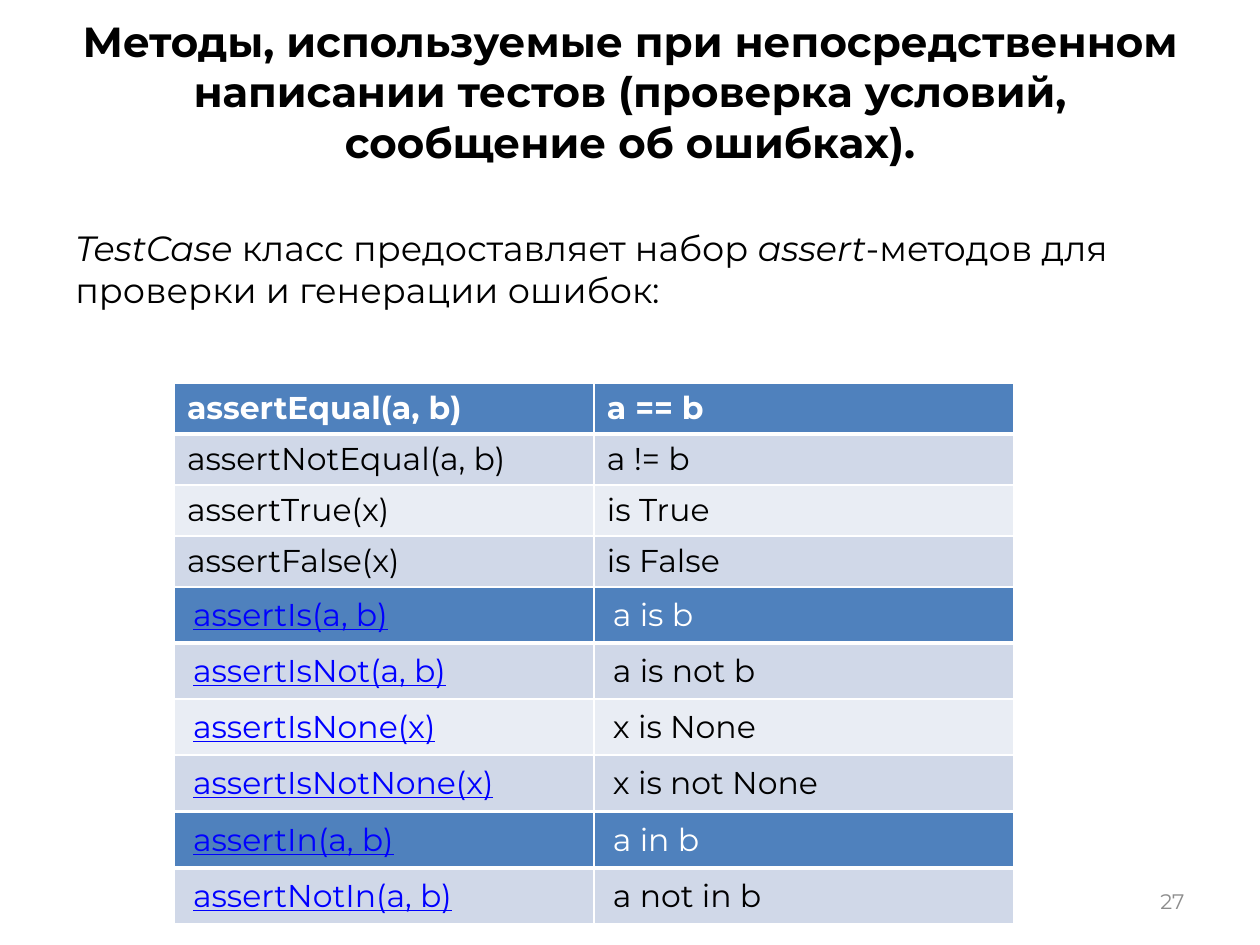
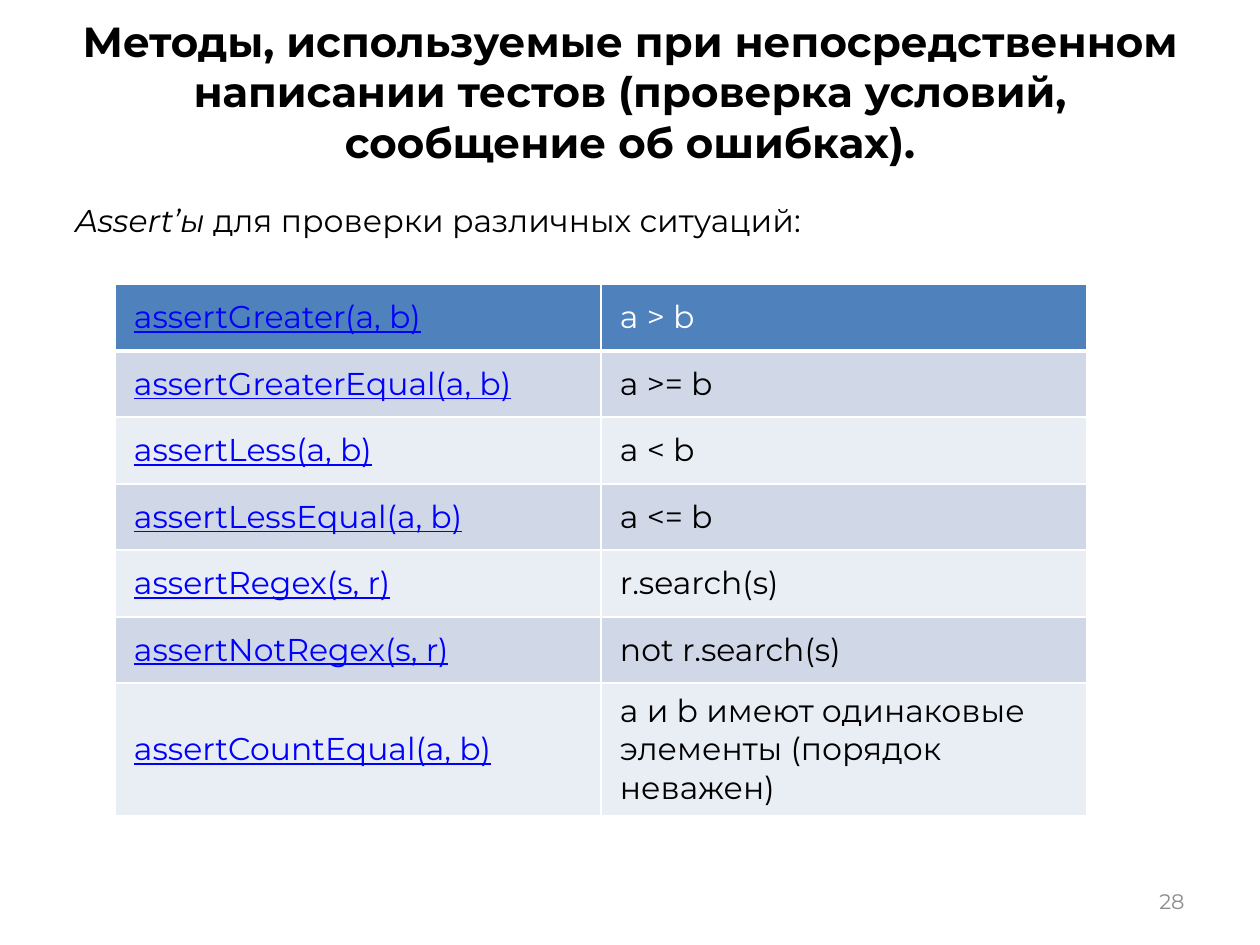
from dataclasses import dataclass

from lxml.etree import SubElement
from pptx import Presentation
from pptx.dml.color import RGBColor
from pptx.enum.text import MSO_ANCHOR, PP_ALIGN
from pptx.oxml.ns import qn
from pptx.util import Emu, Pt

PX_PER_INCH = 126
FONT = "Montserrat"
COLORS = {
    "text": "000000",
    "white": "FFFFFF",
    "number": "8C8C8C",
    "method": "0000FF",
    "header": "4F81BD",
    "odd": "D0D8E8",
    "even": "E9EDF4",
}
TITLE = ("Методы, используемые при непосредственном написании тестов "
         "(проверка условий, сообщение об ошибках).")


@dataclass(frozen=True)
class Span:
    text: str
    size: int
    color: str = "text"
    bold: bool = False
    italic: bool = False
    underline: bool = False


@dataclass(frozen=True)
class Box:
    left: int
    top: int
    width: int
    height: int
    align: PP_ALIGN = PP_ALIGN.LEFT
    anchor: MSO_ANCHOR = MSO_ANCHOR.TOP
    bottom_inset: int = 6


@dataclass(frozen=True)
class MethodTable:
    left: int
    top: int
    column_width: int
    row_heights: list[int]
    rows: list[tuple[str, str]]
    linked: bool = True  # underlined method names and wider cell margins


@dataclass(frozen=True)
class Page:
    number: int
    lead_box: Box
    lead: list[Span]
    tables: list[MethodTable]


TITLE_BOX = Box(63, 38, 1134, 157, PP_ALIGN.CENTER, MSO_ANCHOR.MIDDLE, 57)
NUMBER_BOX = Box(903, 876, 294, 50, PP_ALIGN.RIGHT, MSO_ANCHOR.MIDDLE)

PAGES = [
    Page(
        27,
        Box(63, 220, 1134, 655),
        [
            Span("TestCase", 20, italic=True),
            Span(" класс предоставляет набор ", 20),
            Span("assert", 20, italic=True),
            Span("-методов для проверки и генерации ошибок:", 20),
        ],
        [
            MethodTable(174, 383, 420, [51] * 4, [
                ("assertEqual(a, b)", "a == b"),
                ("assertNotEqual(a, b)", "a != b"),
                ("assertTrue(x)", "is True"),
                ("assertFalse(x)", "is False"),
            ], linked=False),
            MethodTable(174, 587, 420, [56] * 4, [
                ("assertIs(a, b)", "a is b"),
                ("assertIsNot(a, b)", "a is not b"),
                ("assertIsNone(x)", "x is None"),
                ("assertIsNotNone(x)", "x is not None"),
            ]),
            MethodTable(174, 812, 420, [56] * 2, [
                ("assertIn(a, b)", "a in b"),
                ("assertNotIn(a, b)", "a not in b"),
            ]),
        ],
    ),
    Page(
        28,
        Box(63, 195, 1134, 680),
        [
            Span("Assert’ы", 18, italic=True),
            Span(" для проверки различных ситуаций:", 18),
        ],
        [
            MethodTable(115, 284, 486, [67, 66] * 3 + [133], [
                ("assertGreater(a, b)", "a > b"),
                ("assertGreaterEqual(a, b)", "a >= b"),
                ("assertLess(a, b)", "a < b"),
                ("assertLessEqual(a, b)", "a <= b"),
                ("assertRegex(s, r)", "r.search(s)"),
                ("assertNotRegex(s, r)", "not r.search(s)"),
                ("assertCountEqual(a, b)",
                 "a и b имеют одинаковые элементы (порядок неважен)"),
            ]),
        ],
    ),
]


def px(length: int) -> Emu:
    return Emu(round(length * 914400 / PX_PER_INCH))


def rgb(name: str) -> RGBColor:
    return RGBColor.from_string(COLORS[name])


def add_spans(para, spans: list[Span]) -> None:
    for span in spans:
        run = para.add_run()
        run.text = span.text
        font = run.font
        font.name, font.size = FONT, Pt(span.size)
        font.bold, font.italic, font.underline = span.bold, span.italic, span.underline
        font.color.rgb = rgb(span.color)


def add_text(slide, box: Box, spans: list[Span]) -> None:
    shape = slide.shapes.add_textbox(px(box.left), px(box.top), px(box.width), px(box.height))
    frame = shape.text_frame
    frame.word_wrap = True
    frame.vertical_anchor = box.anchor
    frame.margin_bottom = px(box.bottom_inset)
    para = frame.paragraphs[0]
    para.alignment = box.align
    add_spans(para, spans)


def set_borders(cell, top: int, bottom: int) -> None:
    """Draw white cell borders, given in points; the sides are always 1."""
    properties = cell._tc.get_or_add_tcPr()
    widths = {"a:lnL": 1, "a:lnR": 1, "a:lnT": top, "a:lnB": bottom}
    for position, (tag, width) in enumerate(widths.items()):
        line = SubElement(properties, qn(tag), w=str(Pt(width)))
        fill = SubElement(line, qn("a:solidFill"))
        SubElement(fill, qn("a:srgbClr"), val=COLORS["white"])
        properties.insert(position, line)  # borders come before the fill


def add_method_table(slide, spec: MethodTable) -> None:
    table = slide.shapes.add_table(
        len(spec.rows), 2, px(spec.left), px(spec.top),
        px(2 * spec.column_width), px(sum(spec.row_heights))).table
    table.first_row = table.horz_banding = False
    for column in table.columns:
        column.width = px(spec.column_width)

    side, edge = (19, 9) if spec.linked else (13, 6)
    for row, texts in enumerate(spec.rows):
        table.rows[row].height = px(spec.row_heights[row])
        is_header = row == 0
        band = "header" if is_header else ("even", "odd")[row % 2]
        for column, text in enumerate(texts):
            cell = table.cell(row, column)
            cell.fill.solid()
            cell.fill.fore_color.rgb = rgb(band)
            cell.margin_left = cell.margin_right = px(side)
            cell.margin_top = cell.margin_bottom = px(edge)
            cell.vertical_anchor = MSO_ANCHOR.MIDDLE if spec.linked else MSO_ANCHOR.TOP
            set_borders(cell, top=3 if row == 1 else 1, bottom=3 if is_header else 1)

            is_method = spec.linked and column == 0
            color = "method" if is_method else "white" if is_header else "text"
            add_spans(cell.text_frame.paragraphs[0], [
                Span(text, 18, color, bold=is_header and not spec.linked, underline=is_method)])


def add_page(deck, page: Page) -> None:
    slide = deck.slides.add_slide(deck.slide_layouts[6])
    # Title, lead sentence and slide number
    add_text(slide, TITLE_BOX, [Span(TITLE, 24, bold=True)])
    add_text(slide, page.lead_box, page.lead)
    add_text(slide, NUMBER_BOX, [Span(str(page.number), 12, "number")])
    # Assert methods
    for spec in page.tables:
        add_method_table(slide, spec)


def main() -> None:
    deck = Presentation()
    deck.slide_width, deck.slide_height = px(1260), px(945)
    for page in PAGES:
        add_page(deck, page)
    deck.save("out.pptx")


if __name__ == "__main__":
    main()
